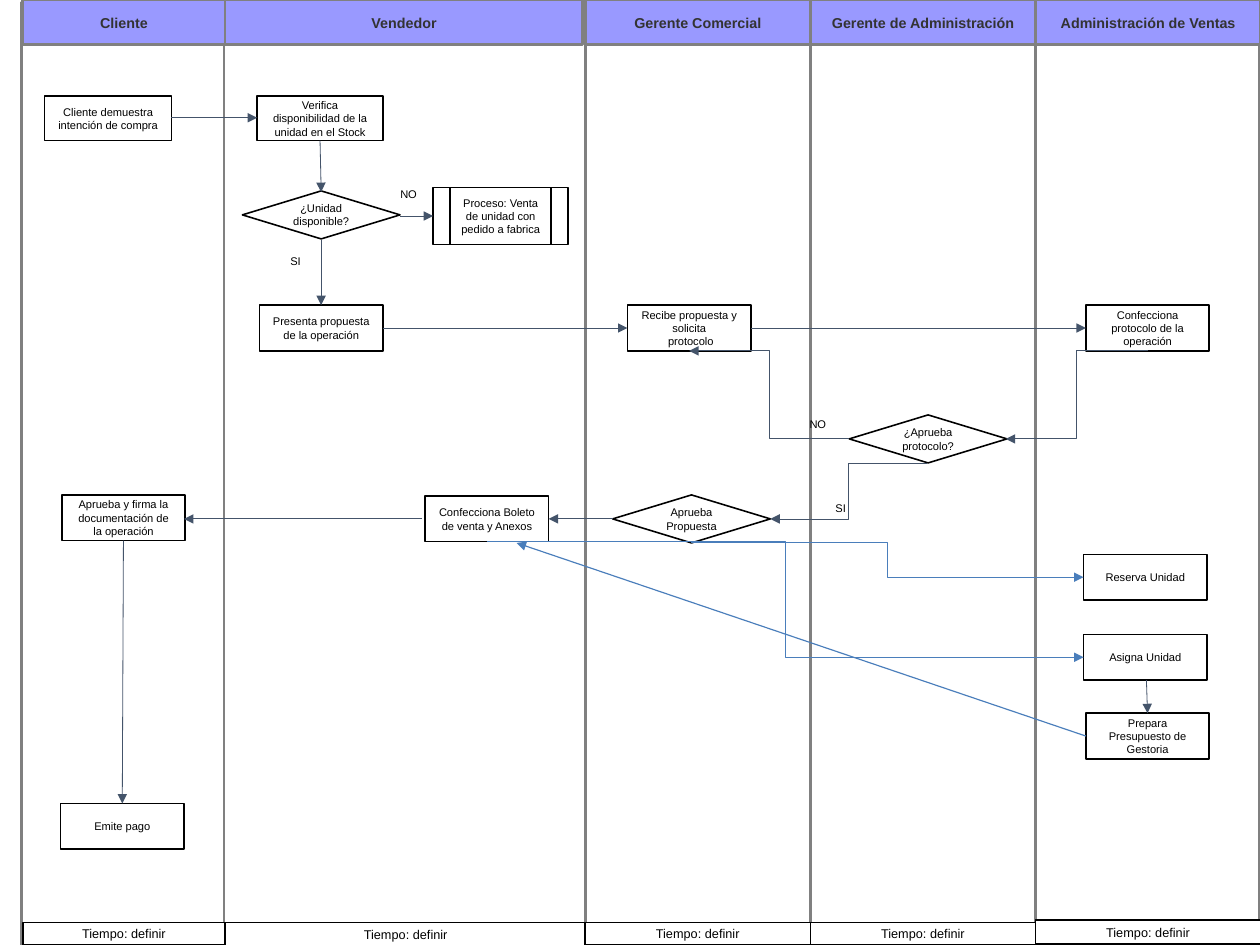
from dataclasses import dataclass

from lxml.etree import SubElement
from pptx import Presentation
from pptx.dml.color import RGBColor
from pptx.enum.shapes import MSO_CONNECTOR, MSO_SHAPE
from pptx.enum.text import MSO_ANCHOR, PP_ALIGN
from pptx.oxml.ns import qn
from pptx.util import Inches, Pt

BLACK, WHITE, GRAY = "000000", "FFFFFF", "808080"
HEADER_FILL, HEADER_TEXT = "9999FF", "333333"
SLATE, BLUE = "44546A", "4A7EBB"
# The page measures 28 by 21 centimetres
SLIDE_WIDTH, SLIDE_HEIGHT = 28 / 2.54, 21 / 2.54
HEADER_HEIGHT = 0.39
STEP_WIDTH, STEP_HEIGHT = 1.08, 0.4
DECISION_WIDTH, DECISION_HEIGHT = 1.38, 0.42


@dataclass
class Lane:
    name: str
    left: float
    header_width: float
    footer_width: float
    footer_top: float = 8.07
    footer_height: float = 0.2


@dataclass
class Frame:
    left: float
    right: float
    top: float = 0


@dataclass
class Step:
    text: str
    left: float
    top: float
    width: float = STEP_WIDTH
    height: float = STEP_HEIGHT
    kind: MSO_SHAPE = MSO_SHAPE.RECTANGLE
    side_inset: float = 0.1


@dataclass
class Decision(Step):
    width: float = DECISION_WIDTH
    height: float = DECISION_HEIGHT
    kind: MSO_SHAPE = MSO_SHAPE.FLOWCHART_DECISION
    side_inset: float = 0


@dataclass
class Label:
    text: str
    left: float
    top: float
    width: float


@dataclass
class Arrow:
    start: tuple[float, float]
    end: tuple[float, float]
    bent: bool = False
    color: str = SLATE
    weight: float = 0.5


LANES = [
    Lane("Cliente", 0.2, 1.77, 1.77),
    Lane("Vendedor", 1.97, 3.13, 3.16, footer_height=0.21),
    Lane("Gerente Comercial", 5.12, 1.97, 1.97),
    Lane("Gerente de Administración", 7.09, 1.97, 1.97),
    Lane("Administración de Ventas", 9.06, 1.97, 1.97, 8.05, 0.21),
]

FRAMES = [Frame(0.19, 1.96, 0.02), Frame(1.96, 7.09, 0.02),
          Frame(5.12, 11.02), Frame(7.09, 9.06)]

STEPS = [
    Step("Cliente demuestra intención de compra", 0.39, 0.84, 1.11, 0.39),
    Step("Verifica disponibilidad de la unidad en el Stock", 2.25, 0.84, 1.1, 0.39),
    Decision("¿Unidad disponible?", 2.12, 1.67),
    Step("Proceso: Venta de unidad con pedido a fabrica", 3.79, 1.64, 1.18, 0.5,
         MSO_SHAPE.FLOWCHART_PREDEFINED_PROCESS),
    Step("Presenta propuesta de la operación", 2.27, 2.67),
    Step("Recibe propuesta y solicita\n protocolo", 5.49, 2.67),
    Step("Confecciona protocolo de la operación", 9.5, 2.67),
    Decision("¿Aprueba protocolo?", 7.43, 3.63),
    Decision("Aprueba Propuesta", 5.36, 4.33),
    Step("Confecciona Boleto de venta y Anexos", 3.72, 4.34),
    Step("Aprueba y firma la documentación de la operación", 0.54, 4.33),
    Step("Reserva Unidad", 9.48, 4.85),
    Step("Asigna Unidad", 9.48, 5.55),
    Step("Prepara Presupuesto de Gestoria", 9.5, 6.24),
    Step("Emite pago", 0.53, 7.03),
]

LABELS = [Label("SI", 2.44, 2.23, 0.29), Label("NO", 3.36, 1.64, 0.43),
          Label("SI", 7.21, 4.39, 0.29), Label("NO", 6.94, 3.65, 0.43)]

ARROWS = [
    Arrow((1.5, 1.03), (2.25, 1.03)),
    Arrow((2.8, 1.23), (2.81, 1.68)),
    Arrow((3.5, 1.89), (3.79, 1.89)),
    Arrow((2.81, 2.1), (2.81, 2.67)),
    Arrow((3.35, 2.87), (5.49, 2.87)),
    Arrow((6.57, 2.87), (9.5, 2.87)),
    Arrow((10.04, 3.07), (8.8, 3.84), bent=True),
    Arrow((7.43, 3.84), (6.03, 3.07), bent=True),
    Arrow((8.11, 4.05), (6.74, 4.54), bent=True),
    Arrow((5.36, 4.54), (4.8, 4.54)),
    Arrow((3.69, 4.54), (1.61, 4.54)),
    Arrow((1.08, 4.73), (1.07, 7.03)),
    Arrow((10.03, 5.95), (10.04, 6.24)),
    Arrow((6.05, 4.75), (9.48, 5.05), True, BLUE, 0.75),
    Arrow((4.26, 4.74), (9.48, 5.75), True, BLUE, 0.75),
    Arrow((9.5, 6.44), (4.52, 4.75), False, BLUE, 0.75),
]


def rgb(value: str) -> RGBColor:
    return RGBColor.from_string(value)


def write_text(shape, text: str, *, size: float = 7, color: str = BLACK, bold: bool = False,
               side_inset: float = 0.1, anchor: MSO_ANCHOR = MSO_ANCHOR.MIDDLE) -> None:
    frame = shape.text_frame
    frame.text = text
    frame.word_wrap = True
    frame.vertical_anchor = anchor
    frame.margin_left = frame.margin_right = Inches(side_inset)
    frame.margin_top = frame.margin_bottom = 0
    for paragraph in frame.paragraphs:
        paragraph.alignment = PP_ALIGN.CENTER
        for run in paragraph.runs:
            run.font.name = "Arial"
            run.font.size = Pt(size)
            run.font.bold = bold
            run.font.color.rgb = rgb(color)


def add_box(slide, left: float, top: float, width: float, height: float, *,
            kind: MSO_SHAPE = MSO_SHAPE.RECTANGLE, fill: str | None = WHITE,
            line: str = BLACK, weight: float = 1):
    shape = slide.shapes.add_shape(kind, Inches(left), Inches(top), Inches(width), Inches(height))
    shape.shadow.inherit = False
    if fill is None:
        shape.fill.background()
    else:
        shape.fill.solid()
        shape.fill.fore_color.rgb = rgb(fill)
    shape.line.color.rgb = rgb(line)
    shape.line.width = Pt(weight)
    return shape


def add_arrow(slide, arrow: Arrow) -> None:
    kind = MSO_CONNECTOR.ELBOW if arrow.bent else MSO_CONNECTOR.STRAIGHT
    points = [Inches(value) for value in (*arrow.start, *arrow.end)]
    connector = slide.shapes.add_connector(kind, *points)
    connector.line.color.rgb = rgb(arrow.color)
    connector.line.width = Pt(arrow.weight)
    SubElement(connector.line._get_or_add_ln(), qn("a:tailEnd"), type="triangle")
    SubElement(connector._element.spPr, qn("a:effectLst"))


def main() -> None:
    presentation = Presentation()
    presentation.slide_width = Inches(SLIDE_WIDTH)
    presentation.slide_height = Inches(SLIDE_HEIGHT)
    slide = presentation.slides.add_slide(presentation.slide_layouts[6])

    # Lane outlines, headers and time footers
    for frame in FRAMES:
        add_box(slide, frame.left, frame.top, frame.right - frame.left, SLIDE_HEIGHT,
                fill=None, line=GRAY, weight=1.7)
    for lane in LANES:
        header = add_box(slide, lane.left, 0, lane.header_width, HEADER_HEIGHT,
                         fill=HEADER_FILL, line=GRAY, weight=1.7)
        write_text(header, lane.name, size=9, color=HEADER_TEXT, bold=True)
        footer = add_box(slide, lane.left, lane.footer_top, lane.footer_width, lane.footer_height)
        write_text(footer, "Tiempo: definir", size=8)

    # Process steps and decisions
    for step in STEPS:
        shape = add_box(slide, step.left, step.top, step.width, step.height, kind=step.kind)
        write_text(shape, step.text, side_inset=step.side_inset)

    # Flow arrows and their answers
    for arrow in ARROWS:
        add_arrow(slide, arrow)
    for label in LABELS:
        box = slide.shapes.add_textbox(Inches(label.left), Inches(label.top),
                                       Inches(label.width), Inches(0.2))
        write_text(box, label.text, side_inset=0, anchor=MSO_ANCHOR.TOP)

    presentation.save("out.pptx")


if __name__ == "__main__":
    main()
